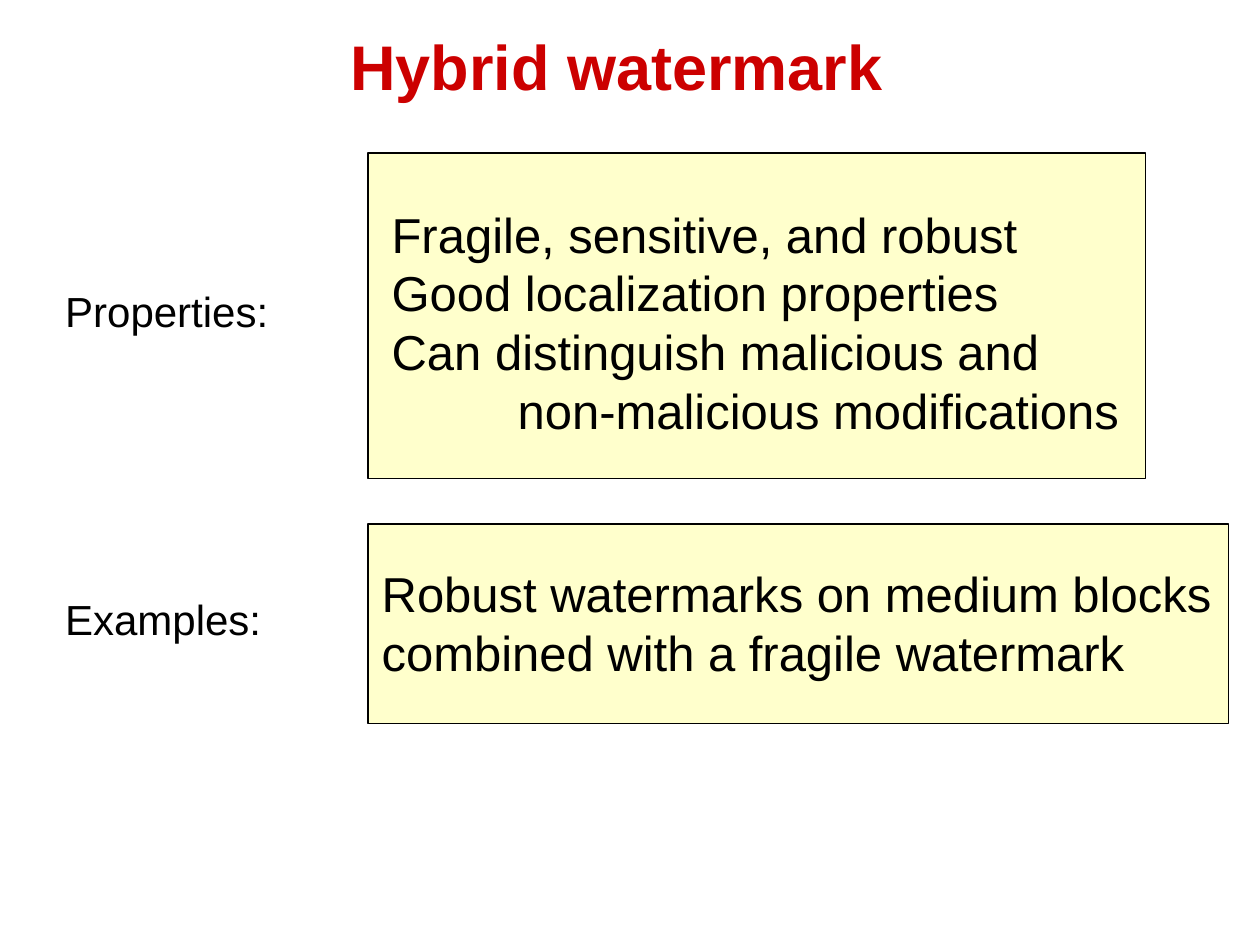
from dataclasses import dataclass

from pptx import Presentation
from pptx.dml.color import RGBColor
from pptx.enum.shapes import MSO_SHAPE
from pptx.enum.text import MSO_ANCHOR, MSO_AUTO_SIZE, PP_ALIGN
from pptx.slide import Slide
from pptx.util import Pt

BLACK, RED, CREAM = "000000", "CC0000", "FFFFCC"
TAB_WIDTH = 72
PANEL_LEFT = 210.25
LABEL_LEFT, LABEL_HEIGHT = 29.25, 36


@dataclass(frozen=True)
class Area:
    left: float
    top: float
    width: float
    height: float

    def lengths(self) -> list[Pt]:
        return [Pt(v) for v in (self.left, self.top, self.width, self.height)]


@dataclass(frozen=True)
class Line:
    text: str
    level: int = 0


@dataclass(frozen=True)
class Caption:
    area: Area
    lines: tuple[Line, ...]
    size: float
    color: str = BLACK
    bold: bool = False
    align: PP_ALIGN = PP_ALIGN.CENTER


def rgb(value: str) -> RGBColor:
    return RGBColor.from_string(value)


def draw_panel(slide: Slide, area: Area) -> None:
    panel = slide.shapes.add_shape(MSO_SHAPE.RECTANGLE, *area.lengths())
    panel.shadow.inherit = False
    panel.fill.solid()
    panel.fill.fore_color.rgb = rgb(CREAM)
    panel.line.color.rgb = rgb(BLACK)
    panel.line.width = Pt(0.75)


def draw_caption(slide: Slide, caption: Caption) -> None:
    frame = slide.shapes.add_textbox(*caption.area.lengths()).text_frame
    frame.word_wrap = False
    frame.auto_size = MSO_AUTO_SIZE.SHAPE_TO_FIT_TEXT
    frame.vertical_anchor = MSO_ANCHOR.MIDDLE
    font_format = {"name": "Arial", "size": Pt(caption.size), "bold": caption.bold}
    for index, line in enumerate(caption.lines):
        paragraph = frame.add_paragraph() if index else frame.paragraphs[0]
        paragraph.alignment = caption.align
        if line.level:
            properties = paragraph._p.get_or_add_pPr()
            properties.set("marL", str(Pt(TAB_WIDTH * line.level)))
            properties.set("indent", "0")
        run = paragraph.add_run()
        run.text = line.text
        for attribute, value in font_format.items():
            setattr(run.font, attribute, value)
        run.font.color.rgb = rgb(caption.color)


PANELS = (
    Area(PANEL_LEFT, 299.5, 491.75, 113.75),
    Area(PANEL_LEFT, 87.5, 444.25, 185.75),
)

CAPTIONS = (
    Caption(Area(192, 12.25, 320.5, 50.4), (Line("Hybrid watermark"),),
            36, RED, bold=True),
    Caption(Area(216.75, 113, 429.8, 141.85), (
        Line("Fragile, sensitive, and robust"),
        Line("Good localization properties"),
        Line("Can distinguish malicious and"),
        Line("non-malicious modifications", level=1),
    ), 28, align=PP_ALIGN.LEFT),
    Caption(Area(211, 318.25, 488.15, 74.9), (
        Line("Robust watermarks on medium blocks"),
        Line("combined with a fragile watermark"),
    ), 28, align=PP_ALIGN.LEFT),
    Caption(Area(LABEL_LEFT, 159.5, 132, LABEL_HEIGHT), (Line("Properties:"),), 24),
    Caption(Area(LABEL_LEFT, 335.75, 128, LABEL_HEIGHT), (Line("Examples:"),), 24),
)


def main() -> None:
    presentation = Presentation()
    presentation.slide_width, presentation.slide_height = Pt(720), Pt(540)
    slide = presentation.slides.add_slide(presentation.slide_layouts[6])
    for area in PANELS:
        draw_panel(slide, area)
    for caption in CAPTIONS:
        draw_caption(slide, caption)
    presentation.save("out.pptx")


if __name__ == "__main__":
    main()
